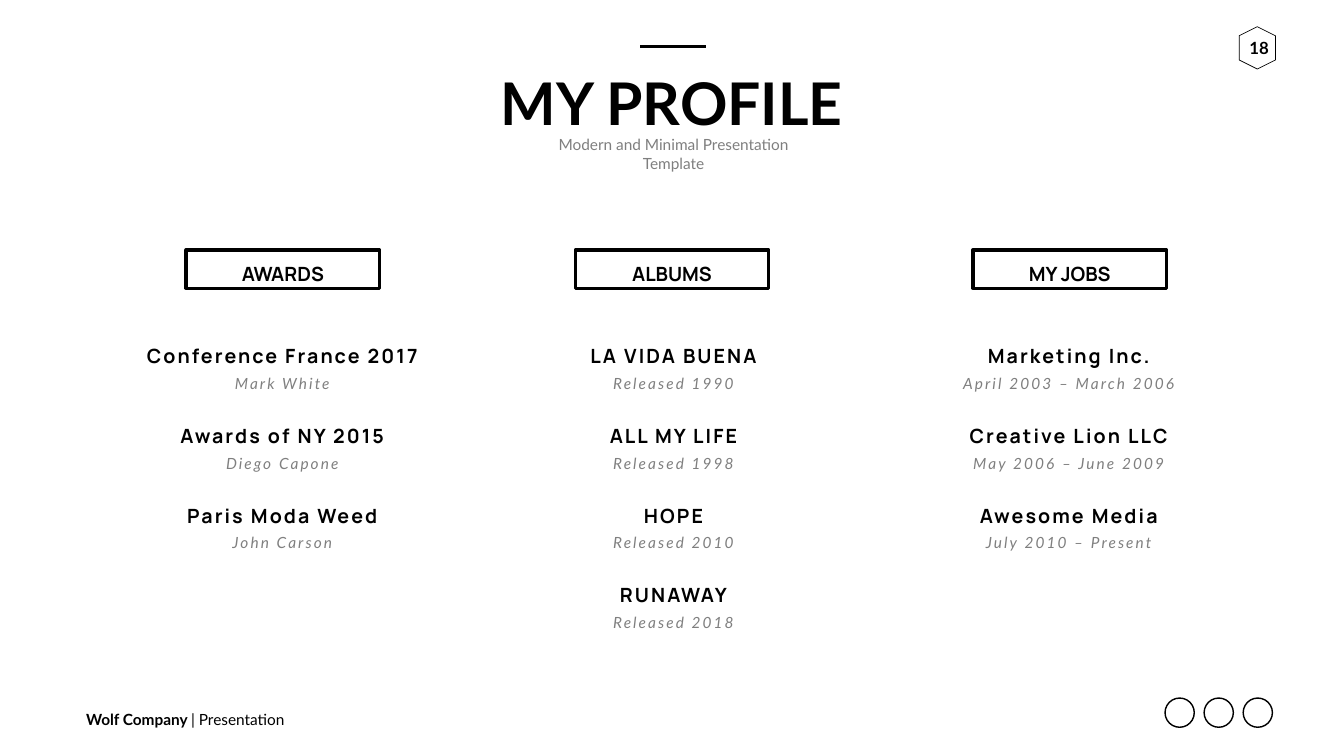
from dataclasses import dataclass

from lxml import etree
from pptx import Presentation
from pptx import util as u
from pptx.dml.color import RGBColor
from pptx.enum import shapes, text
from pptx.oxml.ns import qn


@dataclass(frozen=True)
class Theme:
    ink: RGBColor = RGBColor(0, 0, 0)
    muted: RGBColor = RGBColor(0x7F, 0x7F, 0x7F)
    body_font: str = "Lato"
    head_font: str = "Manrope"
    title: int = 84
    heading: int = 28
    number: int = 24
    small: int = 22
    tracking: int = 3
    thick: float = 4.5
    medium: float = 2
    thin: float = 1


class Deck:
    """Holds the theme and the current slide."""

    def __init__(self, theme, slide):
        self.theme = theme
        self.shapes = slide.shapes

    def label(self, left, top, width, height, runs, size, font=None, color=None,
              italic=False, tracking=0, align=text.PP_ALIGN.CENTER,
              anchor=text.MSO_ANCHOR.MIDDLE, wrap=False):
        """Add one line of text; runs is a list of (words, bold)."""
        box = self.shapes.add_textbox(*map(u.Inches, (left, top, width, height)))
        tf = box.text_frame
        tf.word_wrap = wrap
        tf.auto_size = text.MSO_AUTO_SIZE.SHAPE_TO_FIT_TEXT
        tf.vertical_anchor = anchor
        p = tf.paragraphs[0]
        p.alignment = align
        for words, bold in runs:
            r = p.add_run()
            r.text = words
            r.font.name = font or self.theme.body_font
            r.font.size = u.Pt(size)
            r.font.bold = bold
            r.font.italic = italic
            r.font.color.rgb = color or self.theme.ink
            if tracking:
                r.font._element.set("spc", str(tracking * 100))

    def outline(self, kind, left, top, width, height, weight, rotation=0):
        sp = self.shapes.add_shape(kind, *map(u.Inches, (left, top, width, height)))
        sp.shadow.inherit = False
        sp.fill.background()
        sp.line.color.rgb = self.theme.ink
        sp.line.width = u.Pt(weight)
        sp.rotation = rotation

    def rule(self, x1, x2, y):
        line = self.shapes.add_connector(
            shapes.MSO_CONNECTOR.STRAIGHT, *map(u.Inches, (x1, y, x2, y)))
        line.line.color.rgb = self.theme.ink
        line.line.width = u.Pt(self.theme.thick)
        etree.SubElement(line._element.spPr, qn("a:effectLst"))

    def heading(self, center, words, width):
        self.outline(shapes.MSO_SHAPE.RECTANGLE, center - 1.92, 4.96, 3.84, 0.76,
                     self.theme.thick)
        self.label(center - width / 2, 5.15, width, 0.57, [(words, True)],
                   self.theme.heading, self.theme.head_font)

    def entry(self, center, top, name, name_width, detail, detail_width):
        t = self.theme
        self.label(center - name_width / 2, top, name_width, 0.57, [(name, True)],
                   t.heading, t.head_font, tracking=t.tracking)
        self.label(center - detail_width / 2, top + 0.59, detail_width, 0.47,
                   [(detail, False)], t.small, color=t.muted, italic=True,
                   tracking=t.tracking)


# Heading centre, heading, its width, entries centre,
# then entries as name, width, detail, width
COLUMNS = [
    (5.61, "AWARDS", 1.94, 5.6, [
        ("Conference France 2017", 5.94, "Mark White", 2.13),
        ("Awards of NY 2015", 4.6, "Diego Capone", 2.46),
        ("Paris Moda Weed", 4.38, "John Carson", 2.22),
    ]),
    (13.33, "ALBUMS", 1.8, 13.36, [
        ("LA VIDA BUENA", 3.72, "Released 1990", 2.65),
        ("ALL MY LIFE", 2.87, "Released 1998", 2.65),
        ("HOPE", 1.42, "Released 2010", 2.65),
        ("RUNAWAY", 2.53, "Released 2018", 2.65),
    ]),
    (21.22, "MY JOBS", 1.97, 21.2, [
        ("Marketing Inc.", 3.69, "April 2003 – March 2006", 4.42),
        ("Creative Lion LLC", 4.35, "May 2006 – June 2009", 4.03),
        ("Awesome Media", 4.1, "July 2010 – Present", 4.28),
    ]),
]
FIRST_ENTRY, ENTRY_STEP = 6.78, 1.58


def main():
    prs = Presentation()
    prs.slide_width, prs.slide_height = u.Inches(26.66), u.Inches(15)
    theme = Theme()
    deck = Deck(theme, prs.slides.add_slide(prs.slide_layouts[6]))

    # Footer and page number
    deck.label(1.61, 14.03, 4.17, 0.47,
               [("Wolf Company ", True), ("| Presentation", False)],
               theme.small, align=text.PP_ALIGN.LEFT)
    deck.outline(shapes.MSO_SHAPE.HEXAGON, 24.52, 0.59, 0.84, 0.72, theme.thin, 90)
    deck.label(24.5, 0.7, 0.95, 0.5, [("18", True)], theme.number,
               anchor=text.MSO_ANCHOR.TOP)

    # Plain rings for the social links
    for i in range(3):
        deck.outline(shapes.MSO_SHAPE.OVAL, 23.11 + 0.775 * i, 13.85, 0.58, 0.58,
                     theme.medium)

    # Title block
    deck.rule(12.7, 14, 0.92)
    deck.label(9.78, 1.28, 7.09, 1.51, [("MY PROFILE", True)], theme.title,
               anchor=text.MSO_ANCHOR.TOP)
    deck.label(10.38, 2.82, 5.96, 0.47,
               [("Modern and Minimal Presentation Template", False)],
               theme.small, color=theme.muted, wrap=True)

    # Three columns of entries
    for center, heading, width, entry_center, entries in COLUMNS:
        deck.heading(center, heading, width)
        for row, entry in enumerate(entries):
            deck.entry(entry_center, FIRST_ENTRY + ENTRY_STEP * row, *entry)

    prs.save("out.pptx")


if __name__ == "__main__":
    main()
